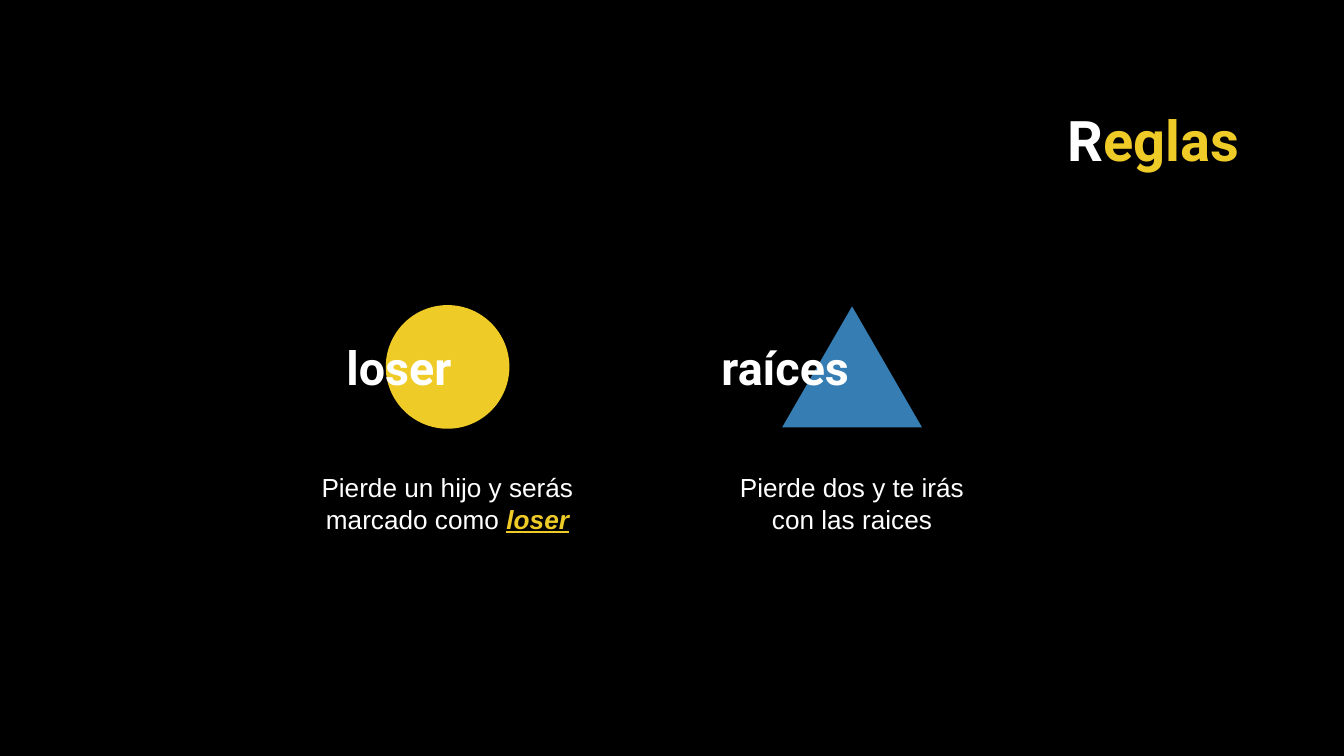
from pptx import Presentation
from pptx.dml.color import RGBColor
from pptx.enum.shapes import MSO_SHAPE
from pptx.enum.text import MSO_ANCHOR, MSO_AUTO_SIZE, PP_ALIGN
from pptx.util import Inches, Pt

LEFT, CENTER, RIGHT = PP_ALIGN.LEFT, PP_ALIGN.CENTER, PP_ALIGN.RIGHT
TOP, MIDDLE = MSO_ANCHOR.TOP, MSO_ANCHOR.MIDDLE
OVAL, TRIANGLE = MSO_SHAPE.OVAL, MSO_SHAPE.ISOSCELES_TRIANGLE

COLORS = {"black": "000000", "white": "FFFFFF", "gold": "EFCB27", "blue": "357DB2"}
TITLE = [("R", "white"), ("eglas", "gold")]
RULES = [
    {"name": "loser", "shape": OVAL, "color": "gold", "size": (0.92, 0.92),
     "label": (2.48, 1.04, 0.64),
     "text": [("Pierde un hijo y serás marcado como ", "white"), ("loser", "gold")]},
    {"name": "raíces", "shape": TRIANGLE, "color": "blue", "size": (1.04, 0.9),
     "label": (5.27, 1.54, 0.61),
     "text": [("Pierde dos y te irás con las raices", "white")]},
]
WIDTH = 10
HEIGHT = WIDTH * 9 / 16
FIRST, STEP = 3.33, 3.01
MID, TEXT_TOP, TEXT_WIDTH = 2.73, 3.41, 2.2


def color(name):
    return RGBColor.from_string(COLORS[name])


def write(box, runs, font, size, align, anchor=TOP, bold=False):
    frame = box.text_frame
    frame.word_wrap = True
    frame.auto_size = MSO_AUTO_SIZE.NONE
    frame.vertical_anchor = anchor
    frame.margin_left = frame.margin_right = Inches(0.1)
    frame.margin_top = frame.margin_bottom = Inches(0.1)
    line = frame.paragraphs[0]
    line.alignment = align
    for text, tint in runs:
        run = line.add_run()
        run.text = text
        run.font.name, run.font.size, run.font.bold = font, Pt(size), bold
        run.font.color.rgb = color(tint)
    return line


def add_text(slide, area, *style, **more):
    box = slide.shapes.add_textbox(*map(Inches, area))
    return write(box, *style, **more)


def add_rule(slide, rule, center):
    width, height = rule["size"]
    mark = slide.shapes.add_shape(
        rule["shape"], Inches(center - width / 2), Inches(MID - height / 2),
        Inches(width), Inches(height))
    mark.shadow.inherit = False
    mark.fill.solid()
    mark.fill.fore_color.rgb = color(rule["color"])
    mark.line.fill.background()

    left, width, height = rule["label"]
    add_text(slide, (left, 2.42, width, height), [(rule["name"], "white")],
             "Roboto", 25, LEFT, bold=True)
    line = add_text(slide, (center - TEXT_WIDTH / 2, TEXT_TOP, TEXT_WIDTH, 1.01),
                    rule["text"], "Arial", 14, CENTER)
    for run in line.runs[1:]:
        run.font.bold = run.font.italic = run.font.underline = True


def main():
    deck = Presentation()
    deck.slide_width, deck.slide_height = Inches(WIDTH), Inches(HEIGHT)
    slide = deck.slides.add_slide(deck.slide_layouts[5])
    slide.background.fill.solid()
    slide.background.fill.fore_color.rgb = color("black")
    title = slide.shapes.title
    title.left, title.top = Inches(3.34), Inches(0.39)
    title.width, title.height = Inches(5.98), Inches(1.29)
    write(title, TITLE, "Roboto", 30, RIGHT, MIDDLE, bold=True)
    for col, rule in enumerate(RULES):
        add_rule(slide, rule, FIRST + col * STEP)
    deck.save("out.pptx")


if __name__ == "__main__":
    main()
